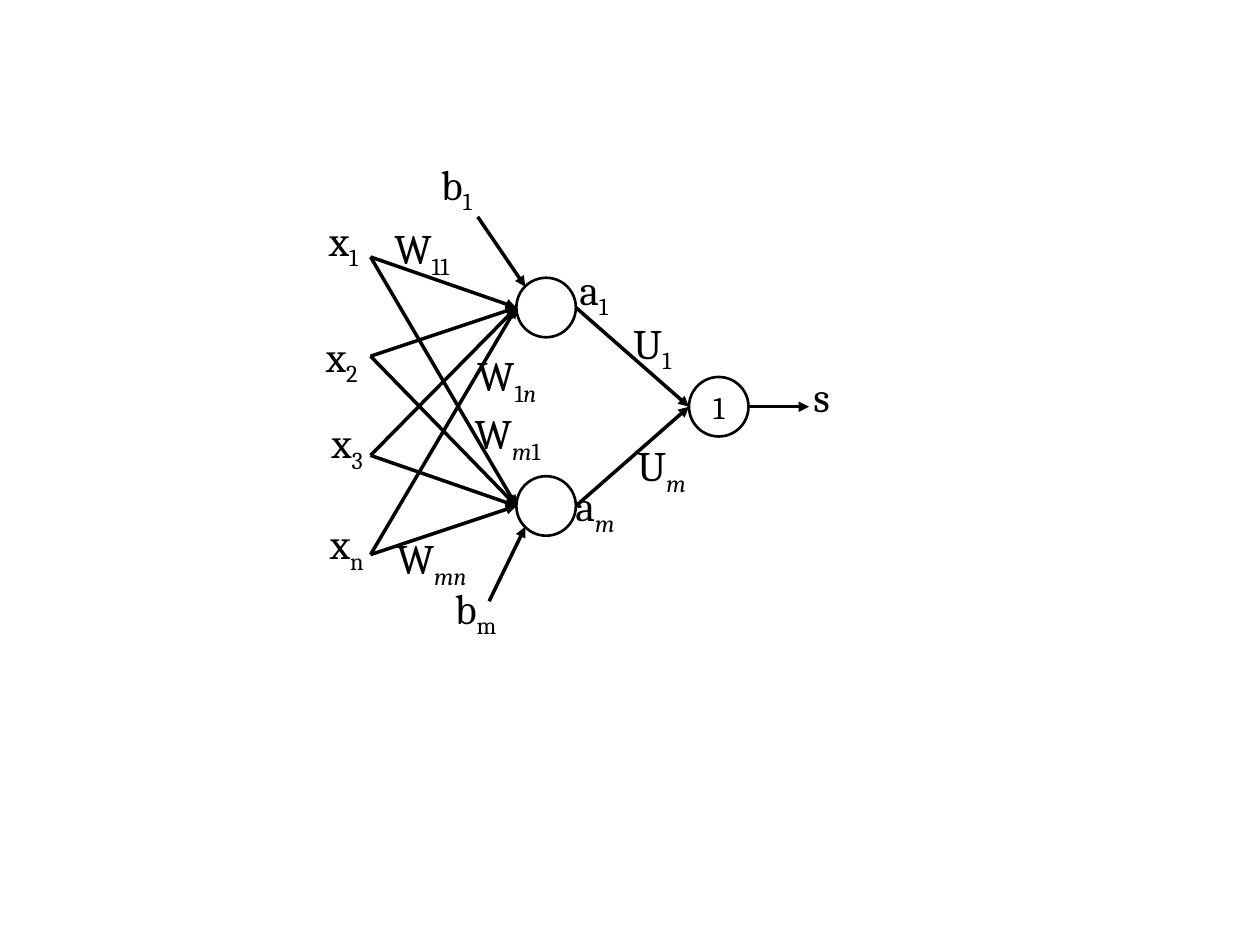
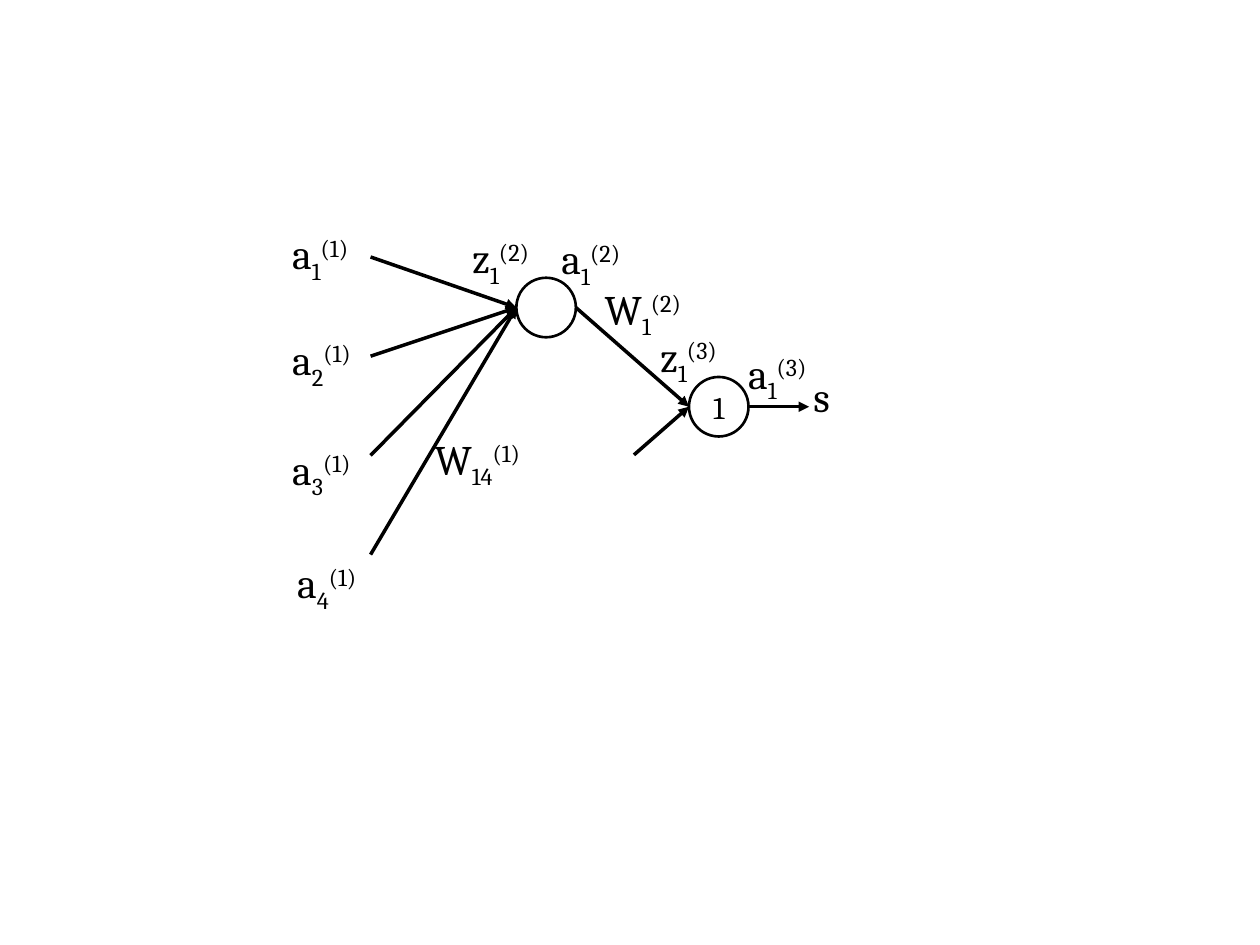
from pptx import Presentation
from pptx.util import Cm, Pt
from pptx.dml.color import RGBColor
from pptx.enum import shapes, text
from pptx.oxml.ns import qn
from lxml import etree

INK = {"black": "000000"}
FONT = "Cambria"

# Shared network geometry, in cm
RAD = 0.6
HID = [(11.01, 6.2), (11.01, 10.2)]
OUT = (14.49, 8.2)
INS = [(7.47, 5.18 + 2 * i) for i in range(4)]
END = (16.31, OUT[1])
TALL = 1.27
SCORE = ("s", 16.15, 7.34, 0.91)

# Labels: text, left, top, width; _ lowers, ~ lowers in italics, ^ raises
SLIDES = [
    {"hidden": HID,
     "bias": [((9.63, 4.37), -1), ((9.86, 12.12), 1)],
     "stub": [],
     "labels": [
         ("x _1", 6.38, 4.19, 1.19), ("x _2", 6.32, 6.53, 1.27),
         ("x _3", 6.43, 8.28, 1.27), ("x _n", 6.4, 10.31, 1.3),
         ("a _1", 11.43, 5.18, 1.24), ("a ~m", 11.35, 9.55, 1.47),
         ("U _1", 12.52, 6.27, 1.42), ("U ~m", 12.6, 8.74, 1.68),
         ("W _11", 7.7, 4.37, 1.93), ("W ~mn", 7.75, 10.62, 2.24),
         ("W _1 ~n", 9.37, 6.93, 2.06), ("W ~m _1", 9.32, 8.1, 2.13),
         ("b _1", 8.64, 3.07, 1.19), ("b _m", 8.92, 11.61, 1.45),
         SCORE]},
    {"hidden": HID[:1],
     "bias": [],
     "stub": [(12.78, 9.17)],
     "labels": [
         ("a _1 ^(1)", 5.64, 4.47, 1.96), ("a _2 ^(1)", 5.64, 6.6, 1.96),
         ("a _3 ^(1)", 5.64, 8.81, 1.96), ("a _4 ^(1)", 5.74, 11.1, 1.96),
         ("z _1 ^(2)", 9.27, 4.55, 1.88), ("a _1 ^(2)", 11.07, 4.57, 1.96),
         ("z _1 ^(3)", 13.06, 6.53, 1.88), ("a _1 ^(3)", 14.83, 6.88, 1.96),
         ("W _14 ^(1)", 8.51, 8.61, 2.67), ("W _1 ^(2)", 11.94, 5.59, 2.39),
         SCORE]},
]
SHIFT = {"_": -25000, "~": -25000, "^": 30000}


def paint(thing, width):
    thing.line.color.rgb = RGBColor.from_string(INK["black"])
    thing.line.width = Pt(width)


def write(par, words, size):
    for word in words.split():
        mark = word[0] if word[0] in SHIFT else ""
        run = par.add_run()
        run.text = word[len(mark):]
        style = {"name": FONT, "size": Pt(size), "italic": mark == "~"}
        for key, val in style.items():
            setattr(run.font, key, val)
        run.font.color.rgb = RGBColor.from_string(INK["black"])
        if mark:
            run._r.get_or_add_rPr().set("baseline", str(SHIFT[mark]))


def frame(shape, **style):
    for key, val in style.items():
        setattr(shape.text_frame, key, val)
    return shape.text_frame.paragraphs[0]


def node(slide, mid, words=""):
    ring = slide.shapes.add_shape(
        shapes.MSO_SHAPE.OVAL, Cm(mid[0] - RAD), Cm(mid[1] - RAD),
        Cm(2 * RAD), Cm(2 * RAD))
    ring.shadow.inherit = False
    ring.fill.background()
    paint(ring, 1.5)
    par = frame(ring, margin_left=0, margin_right=0, margin_top=0,
                margin_bottom=0, vertical_anchor=text.MSO_ANCHOR.MIDDLE)
    par.alignment = text.PP_ALIGN.CENTER
    write(par, words, 18)


def arrow(slide, start, stop):
    link = slide.shapes.add_connector(
        shapes.MSO_CONNECTOR.STRAIGHT, *[Cm(n) for n in (*start, *stop)])
    paint(link, 2)
    etree.SubElement(link.line._get_or_add_ln(), qn("a:tailEnd"),
                     type="triangle")
    etree.SubElement(link._element.spPr, qn("a:effectLst"))


def label(slide, words, left, top, width):
    box = slide.shapes.add_textbox(Cm(left), Cm(top), Cm(width), Cm(TALL))
    par = frame(box, word_wrap=False,
                auto_size=text.MSO_AUTO_SIZE.SHAPE_TO_FIT_TEXT)
    write(par, words, 24)


def side(mid, sign):
    return mid[0] + sign * RAD, mid[1]


deck = Presentation()
deck.slide_width, deck.slide_height = Cm(25.4), Cm(19.05)

for plan in SLIDES:
    slide = deck.slides.add_slide(deck.slide_layouts[6])

    # Neurons
    for mid in plan["hidden"]:
        node(slide, mid)
    node(slide, OUT, "1")

    # Weighted links, left to right
    for mid in plan["hidden"]:
        for dot in INS:
            arrow(slide, dot, side(mid, -1))
        arrow(slide, side(mid, 1), side(OUT, -1))
    for dot in plan["stub"]:
        arrow(slide, dot, side(OUT, -1))
    arrow(slide, side(OUT, 1), END)

    # Bias arrows meet their neuron at 45 degrees
    for (dot, sign), mid in zip(plan["bias"], plan["hidden"]):
        arrow(slide, dot, (mid[0] - 0.7 * RAD, mid[1] + sign * 0.7 * RAD))

    # Labels
    for item in plan["labels"]:
        label(slide, *item)

deck.save("out.pptx")
